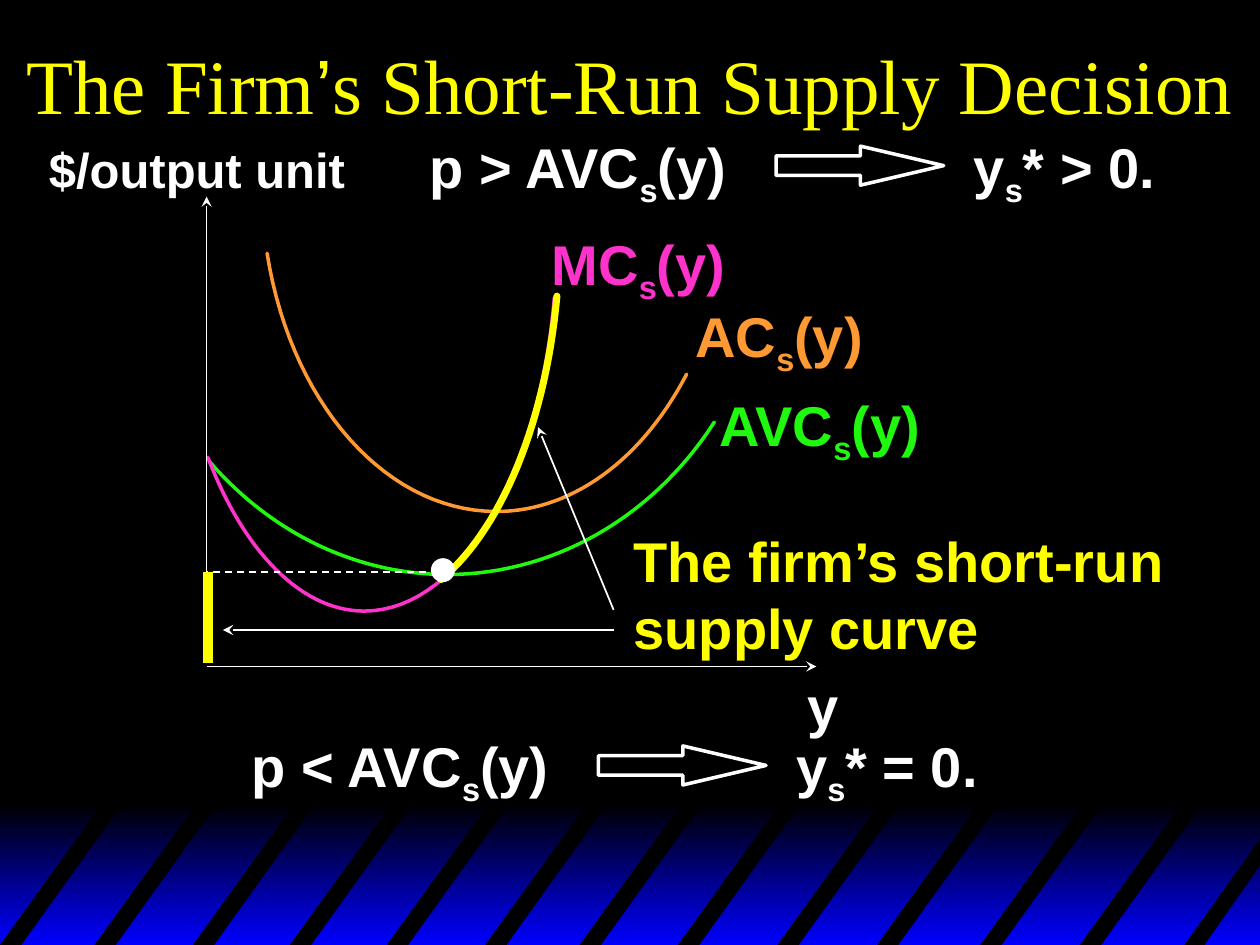
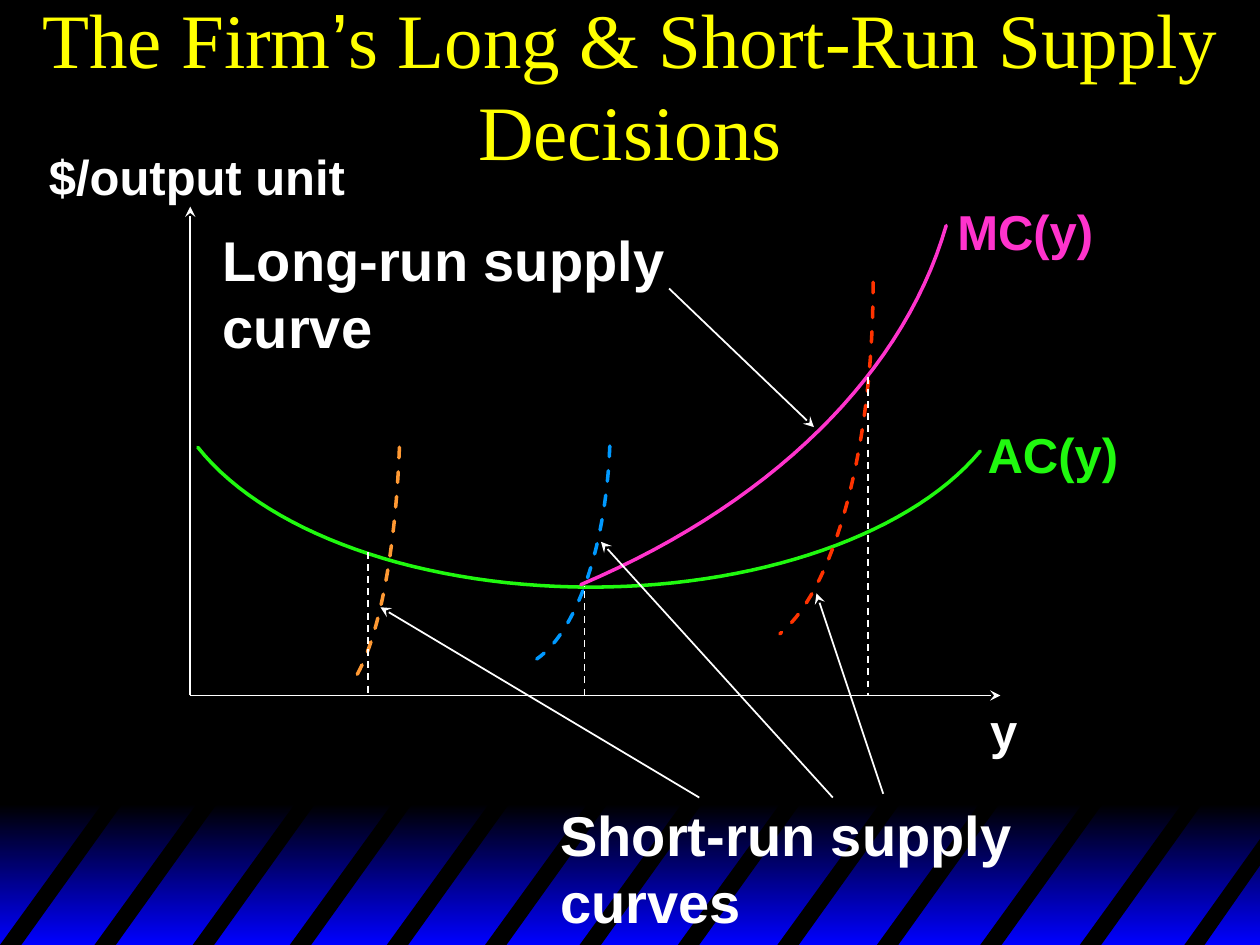
"""Build two slides on a firm's short-run and long-run supply decisions."""
from dataclasses import dataclass

from lxml import etree
from pptx import Presentation
from pptx.dml.color import RGBColor
from pptx.enum.dml import MSO_LINE
from pptx.enum.shapes import MSO_CONNECTOR, MSO_SHAPE
from pptx.enum.text import MSO_ANCHOR, MSO_AUTO_SIZE, PP_ALIGN
from pptx.oxml.ns import qn
from pptx.util import Inches, Pt

DASH = MSO_LINE.DASH
STRAIGHT = MSO_CONNECTOR.STRAIGHT
RECTANGLE, OVAL, ARROW = MSO_SHAPE.RECTANGLE, MSO_SHAPE.OVAL, MSO_SHAPE.RIGHT_ARROW
MIDDLE, CENTER = MSO_ANCHOR.MIDDLE, PP_ALIGN.CENTER
NO_FIT, GROW = MSO_AUTO_SIZE.NONE, MSO_AUTO_SIZE.SHAPE_TO_FIT_TEXT


@dataclass(frozen=True)
class Theme:
    """Colours, fonts and type sizes of both slides."""
    black: RGBColor = RGBColor.from_string("000000")
    white: RGBColor = RGBColor.from_string("FFFFFF")
    yellow: RGBColor = RGBColor.from_string("FFFF00")
    green: RGBColor = RGBColor.from_string("20F90F")
    pink: RGBColor = RGBColor.from_string("FF33CC")
    orange: RGBColor = RGBColor.from_string("FF9933")
    red: RGBColor = RGBColor.from_string("FF3300")
    sky: RGBColor = RGBColor.from_string("0099FF")
    blue: RGBColor = RGBColor.from_string("0000FF")
    title_font: str = "Times New Roman"
    body_font: str = "Arial"
    title: int = 44
    large: int = 32
    small: int = 28


THEME = Theme()
WHITE, YELLOW, GREEN = THEME.white, THEME.yellow, THEME.green
PINK, ORANGE = THEME.pink, THEME.orange
LARGE, SMALL = THEME.large, THEME.small

presentation = Presentation()
presentation.slide_width, presentation.slide_height = Inches(10), Inches(7.5)
COLUMN = presentation.slide_width / 100
ROW = presentation.slide_height / 75


def grid(*lengths):
    """Turn alternating columns and rows into slide lengths."""
    return [round(length * (ROW if index % 2 else COLUMN))
            for index, length in enumerate(lengths)]


def add_outline(shapes, points):
    """Add an open outline through grid points."""
    corners = [grid(*point) for point in points]
    builder = shapes.build_freeform(*corners[0])
    builder.add_line_segments(corners[1:], close=False)
    outline = builder.convert_to_shape()
    outline.shadow.inherit = False
    return outline


SUPPLY_SLIDES = [
    {
        "title": "The Firm’s Short-Run Supply Decision",
        "curves": [
            ((54.5, 29.7, 50.9, 36.6, 45.3, 40.6, 39.4, 40.6), (30.7, 40.6, 23.1, 32.1, 21.2, 20.1), ORANGE, 2, None),
            ((56.7, 33.5, 51.8, 41.1, 43.9, 45.6, 35.5, 45.6), (28.4, 45.6, 21.6, 42.4, 16.6, 36.6), GREEN, 2, None),
            ((44, 23.6, 42.8, 38, 36.4, 48.5, 28.9, 48.5), (24, 48.5, 19.4, 43.9, 16.5, 36.3), PINK, 2, None),
            ((44.2, 23.5, 43.3, 33.5, 39.8, 42, 35, 46), (), YELLOW, 4, None),
        ],
        "lines": [
            (16.4, 52.6, 16.4, 15.6, WHITE, 1, None, True),
            (16.4, 52.9, 64.8, 52.9, WHITE, 1, None, True),
            (34.8, 45.4, 16.4, 45.4, WHITE, 1, DASH, False),
            (16.5, 45.4, 16.5, 52.6, YELLOW, 6, None, False),
            (48.7, 48.4, 42.7, 33.9, WHITE, 1, None, True),
            (48.7, 50, 17.7, 50, WHITE, 1, None, True),
        ],
        "points": [(34.2, 44.3)],
        "implications": [
            (33.1, 10, "p > AVC_s_(y)", "y_s_* > 0."),
            (19, 57.6, "p < AVC_s_(y)", "y_s_* = 0."),
        ],
        "labels": [
            (56.1, 30.5, 20, 1, "AVC_s_(y)", LARGE, GREEN),
            (54.2, 23.4, 17, 1, "AC_s_(y)", LARGE, ORANGE),
            (42.8, 17.7, 18, 1, "MC_s_(y)", LARGE, PINK),
            (49.3, 41.3, 46, 2, "The firm’s short-run supply curve", LARGE, YELLOW),
            (2.9, 10.6, 27, 1, "$/output unit", SMALL, WHITE),
            (63.1, 52.8, 5, 1, "y", LARGE, WHITE),
        ],
    },
    {
        "title": "The Firm’s Long & Short-Run Supply Decisions",
        "curves": [
            ((77.8, 35.8, 72.3, 42.4, 60.2, 46.6, 46.9, 46.6), (33.3, 46.6, 21.1, 42.3, 15.7, 35.5), GREEN, 2, None),
            ((75.1, 17.9, 71.7, 29.7, 61.2, 40, 46.1, 46.4), (), PINK, 2, None),
            ((31.7, 35.5, 31.4, 43.7, 30.1, 50.6, 28.2, 53.8), (), ORANGE, 2, DASH),
            ((69.3, 22.4, 69.3, 35.3, 66.3, 46.7, 61.9, 50.3), (), THEME.red, 2, DASH),
            ((48.4, 35.4, 48.1, 43.3, 45.8, 50.1, 42.6, 52.3), (), THEME.sky, 2, DASH),
        ],
        "lines": [
            (15.1, 55.2, 15.1, 16.4, WHITE, 1, None, True),
            (15.1, 55.2, 79.4, 55.2, WHITE, 1, None, True),
            (46.4, 55.2, 46.4, 46.5, WHITE, 1, DASH, False),
            (68.9, 29.9, 68.9, 55.2, WHITE, 1, DASH, False),
            (29.2, 43.8, 29.2, 55.2, WHITE, 1, DASH, False),
            (53.1, 22.9, 64.6, 33.9, WHITE, 1, None, True),
            (55.5, 63.3, 30.2, 48.2, WHITE, 1, None, True),
            (66.1, 63.3, 47.7, 43, WHITE, 1, None, True),
            (70.1, 63, 64.8, 47.1, WHITE, 1, None, True),
        ],
        "points": [],
        "implications": [],
        "labels": [
            (75, 15.5, 14, 1, "MC(y)", SMALL, PINK),
            (77.4, 33.2, 14, 1, "AC(y)", SMALL, GREEN),
            (77.6, 55.1, 5, 1, "y", SMALL, WHITE),
            (2.9, 11.1, 27, 1, "$/output unit", SMALL, WHITE),
            (43.5, 63, 43, 2, "Short-run supply curves", LARGE, WHITE),
            (16.7, 17.4, 43, 2, "Long-run supply curve", LARGE, WHITE),
        ],
    },
]

title_layout = presentation.slide_layouts[5]
slides = [presentation.slides.add_slide(title_layout) for _ in SUPPLY_SLIDES]

master = presentation.slide_master
master.background.fill.solid()
master.background.fill.fore_color.rgb = THEME.black

band_group = slides[0].shapes.add_group_shape()
band = band_group.shapes.add_shape(RECTANGLE, *grid(0, 63.8, 100, 11.2))
band.shadow.inherit = False
band.line.fill.background()
band.fill.gradient()
band.fill.gradient_angle = 270
for stop, colour in zip(band.fill.gradient_stops, (THEME.black, THEME.blue)):
    stop.color.rgb = colour

stripes = [
    [(left, 75), (left + 8.4, 63.4), (left + 10, 63.4), (left + 1.7, 75), (left, 75)]
    for left in (0, 7.5, 15.3, 23, 30.7, 38.5, 46, 53.8, 61.7, 69.6, 77.8, 85.7)
]
stripes.append([(94, 75), (100, 66.6), (100, 68.7), (95.6, 75), (94, 75)])
for corners in stripes:
    stripe = add_outline(band_group.shapes, corners)
    stripe.fill.solid()
    stripe.fill.fore_color.rgb = THEME.black
    stripe.line.fill.background()

master_tree = master.shapes._spTree
master_tree.insert(2, band_group._element)
for number, properties in enumerate(master_tree.iter(qn("p:cNvPr")), start=1):
    properties.set("id", str(number))

for slide, content in zip(slides, SUPPLY_SLIDES):
    shapes = slide.shapes
    title = shapes.title
    title.left, title.top, title.width, title.height = grid(0, 0, 100, 13.3)
    title_format = {"vertical_anchor": MIDDLE, "auto_size": NO_FIT, "word_wrap": True}
    for name, value in title_format.items():
        setattr(title.text_frame, name, value)
    paragraph = title.text_frame.paragraphs[0]
    paragraph.alignment = CENTER
    for piece in content["title"].partition("’"):
        run = paragraph.add_run()
        run.text = piece
        run.font.name = THEME.body_font if piece == "’" else THEME.title_font
        run.font.size = Pt(THEME.title)
        run.font.color.rgb = YELLOW

    for first, second, colour, width, dash in content["curves"]:
        points = [first[:2]]
        controls = first + second
        for start in range(0, len(controls) - 2, 6):
            x0, y0, x1, y1, x2, y2, x3, y3 = controls[start:start + 8]
            for step in range(1, 31):
                t = step / 30
                weights = ((1 - t) ** 3, 3 * t * (1 - t) ** 2, 3 * t * t * (1 - t), t ** 3)
                points.append([sum(weight * value for weight, value in zip(weights, values))
                               for values in ((x0, x1, x2, x3), (y0, y1, y2, y3))])
        curve = add_outline(shapes, points)
        curve.fill.background()
        curve.line.color.rgb = colour
        curve.line.width = Pt(width)
        curve.line.dash_style = dash
        curve.line._get_or_add_ln().set("cap", "rnd")

    for x1, y1, x2, y2, colour, width, dash, has_arrow in content["lines"]:
        connector = shapes.add_connector(STRAIGHT, *grid(x1, y1, x2, y2))
        connector.line.color.rgb = colour
        connector.line.width = Pt(width)
        connector.line.dash_style = dash
        if has_arrow:
            etree.SubElement(connector.line._get_or_add_ln(), qn("a:tailEnd"), type="stealth")
        etree.SubElement(connector._element.spPr, qn("a:effectLst"))

    for left, top in content["points"]:
        dot = shapes.add_shape(OVAL, *grid(left, top, 1.9, 1.9))
        dot.shadow.inherit = False
        dot.fill.solid()
        dot.fill.fore_color.rgb = WHITE
        dot.line.fill.background()

    labels = list(content["labels"])
    for left, top, condition, result in content["implications"]:
        labels.append((left, top, 27, 1, condition, LARGE, WHITE))
        labels.append((left + 43.2, top, 18, 1, result, LARGE, WHITE))
        arrow = shapes.add_shape(ARROW, *grid(left + 28.5, top + 1.6, 13.3, 3.1))
        arrow.adjustments[0], arrow.adjustments[1] = 0.5, 2.13
        arrow.shadow.inherit = False
        arrow.fill.background()
        arrow.line.color.rgb = WHITE
        arrow.line.width = Pt(2)

    for left, top, width, line_count, text, size, colour in labels:
        height = line_count * size / 6 + 1
        frame = shapes.add_textbox(*grid(left, top, width, height)).text_frame
        frame.word_wrap = True
        frame.auto_size = GROW
        font_format = {"name": THEME.body_font, "size": Pt(size), "bold": True}
        for index, piece in enumerate(text.split("_")):
            run = frame.paragraphs[0].add_run()
            run.text = piece
            for name, value in font_format.items():
                setattr(run.font, name, value)
            run.font.color.rgb = colour
            if index % 2:
                run._r.get_or_add_rPr().set("baseline", "-25000")

presentation.save("out.pptx")
